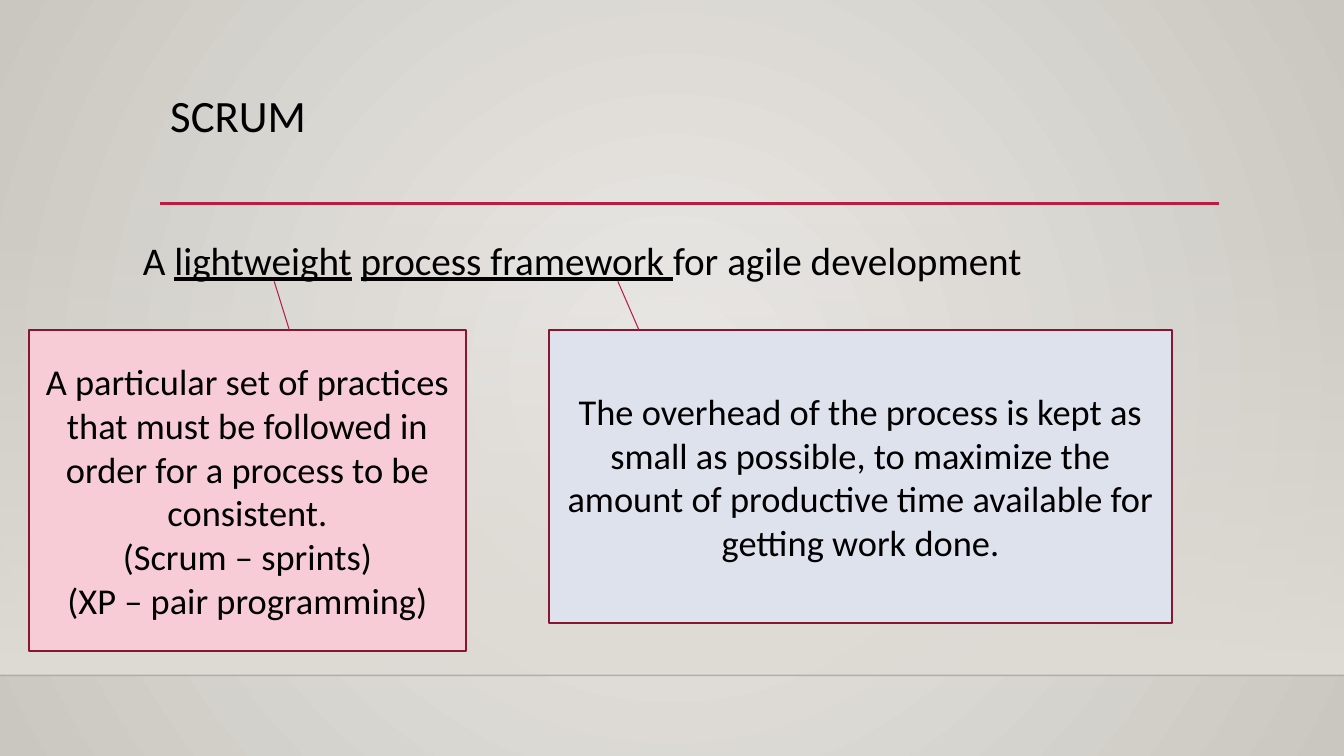
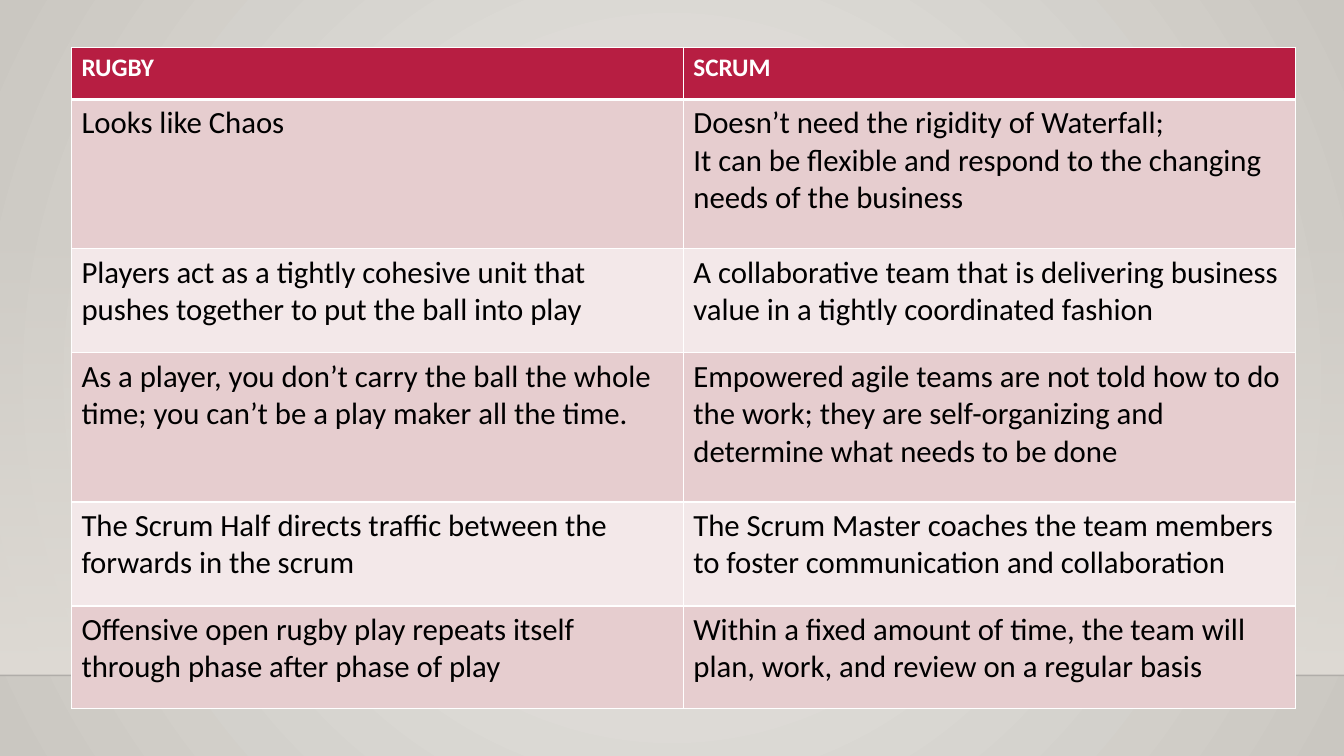
from dataclasses import dataclass

from lxml import etree
from pptx import Presentation, util as u
from pptx.dml.color import RGBColor
from pptx.enum import shapes, text
from pptx.oxml.ns import qn


@dataclass(frozen=True)
class Theme:
    """Colours, font and type sizes shared by the slides."""
    font: str = "Calibri"
    title: int = 32
    lead: int = 28
    note: int = 26
    cell: int = 22
    header: int = 18
    ink: str = "000000"
    white: str = "FFFFFF"
    accent: str = "B71E42"
    outline: str = "871631"
    pink: str = "F7CCD6"
    blue: str = "DEE2ED"
    bands: tuple = ("E6CDCF", "F3E8E9")
    backdrop: tuple = ("ECEAE7", "CAC7C1")
    panel: str = "DFDBD5"
    edge: str = "000001"


T = Theme()
RUGBY_TABLE = [
    (1.32, ["RUGBY"], ["SCRUM"]),
    (3.76, ["Looks like Chaos"],
     ["Doesn’t need the rigidity of Waterfall;",
      "It can be flexible and respond to the changing needs of the business"]),
    (2.62, ["Players act as a tightly cohesive unit that pushes together to put the ball into play"],
     ["A collaborative team that is delivering business value in a tightly coordinated fashion"]),
    (3.76, ["As a player, you don’t carry the ball the whole time; you can’t be a play maker all the time."],
     ["Empowered agile teams are not told how to do the work; they are self-organizing "
      "and determine what needs to be done"]),
    (2.62, ["The Scrum Half directs traffic between the forwards in the scrum"],
     ["The Scrum Master coaches the team members to foster communication and collaboration"]),
    (2.59, ["Offensive open rugby play repeats itself through phase after phase of play"],
     ["Within a fixed amount of time, the team will plan, work, and review on a regular basis"]),
]


def rgb(value):
    """Return a colour object for a hex string."""
    return RGBColor.from_string(value)


def cm(*values):
    """Convert numbers to centimetre lengths."""
    return [u.Cm(v) for v in values]


def set_alpha(color, percent):
    """Set the opacity of an srgbClr element."""
    etree.SubElement(color, qn("a:alpha"), val=str(percent * 1000))


def set_gradient(fill, colors):
    """Make a fill a two-stop gradient."""
    fill.gradient()
    for stop, color in zip(fill.gradient_stops, colors):
        stop.color.rgb = rgb(color)


def write(tf, paragraphs, size, color=T.ink, bold=False, align=None, spacing=None, before=None):
    """Fill a text frame with paragraphs given as lists of (text, underline) runs."""
    tf.word_wrap = True
    for i, runs in enumerate(paragraphs):
        p = tf.paragraphs[0] if i == 0 else tf.add_paragraph()
        p.alignment, p.line_spacing, p.space_before = align, spacing, before
        for content, underline in runs:
            r = p.add_run()
            r.text = content
            r.font.name, r.font.size, r.font.bold = T.font, u.Pt(size), bold
            r.font.underline = underline
            r.font.color.rgb = rgb(color)


def plain(*lines):
    """Turn lines into paragraphs of one plain run each."""
    return [[(line, False)] for line in lines]


def add_text(s, at, paragraphs, size, **style):
    """Add a wrapping text box."""
    write(s.shapes.add_textbox(*cm(*at)).text_frame, paragraphs, size, **style)


def add_rect(s, at):
    """Add a rectangle without shadow or outline."""
    sp = s.shapes.add_shape(shapes.MSO_SHAPE.RECTANGLE, *cm(*at))
    sp.shadow.inherit = False
    sp.line.fill.background()
    return sp


def add_line(s, start, end, color, width):
    """Add a straight connector without shadow."""
    line = s.shapes.add_connector(shapes.MSO_CONNECTOR.STRAIGHT, *cm(*start, *end))
    line.line.color.rgb = rgb(color)
    line.line.width = u.Pt(width)
    etree.SubElement(line.element.spPr, qn("a:effectLst"))
    return line


def add_note(s, at, fill, lines):
    """Add an outlined box with centred text."""
    sp = add_rect(s, at)
    sp.fill.solid()
    sp.fill.fore_color.rgb = rgb(fill)
    sp.line.color.rgb = rgb(T.outline)
    sp.line.width = u.Pt(1.25)
    sp.text_frame.vertical_anchor = text.MSO_ANCHOR.MIDDLE
    write(sp.text_frame, plain(*lines), T.note, align=text.PP_ALIGN.CENTER)


def set_borders(cell, top, bottom):
    """Give a cell white borders, with top and bottom widths in points."""
    tc_pr = cell._tc.get_or_add_tcPr()
    for side, width in (("L", 1), ("R", 1), ("T", top), ("B", bottom)):
        ln = etree.SubElement(tc_pr, qn(f"a:ln{side}"), w=str(u.Pt(width)))
        fill = etree.SubElement(ln, qn("a:solidFill"))
        etree.SubElement(fill, qn("a:srgbClr"), val=T.white)


def add_comparison(s, left, top, col_width, rows):
    """Add a two-column table with a header and banded rows."""
    size = cm(left, top, 2 * col_width, sum(row[0] for row in rows))
    table = s.shapes.add_table(len(rows), 2, *size).table
    table.horz_banding = False
    for col in table.columns:
        col.width = u.Cm(col_width)
    for i, (height, *cells) in enumerate(rows):
        table.rows[i].height = u.Cm(height)
        header = i == 0
        for j, lines in enumerate(cells):
            cell = table.cell(i, j)
            set_borders(cell, 3 if i == 1 else 1, 3 if header else 1)
            cell.fill.solid()
            cell.fill.fore_color.rgb = rgb(T.accent if header else T.bands[(i - 1) % 2])
            write(cell.text_frame, plain(*lines), T.header if header else T.cell,
                  T.white if header else T.ink, bold=header)


def style_layout(layout, s):
    """Put the backdrop, panel and rules on the layout, drawing them through a slide."""
    for ph in list(layout.placeholders):
        ph.element.getparent().remove(ph.element)
    set_gradient(layout.background.fill, T.backdrop)
    grad = next(layout.element.iter(qn("a:gradFill")))
    grad.remove(grad.find(qn("a:lin")))
    circle = etree.SubElement(grad, qn("a:path"), path="circle")
    etree.SubElement(circle, qn("a:fillToRect"), l="50000", t="50000", r="50000", b="50000")

    panel = add_rect(s, (0, 5.61, 33.87, 11.41))
    set_gradient(panel.fill, (T.panel, T.panel))
    panel.fill.gradient_angle = 270
    set_alpha(next(panel.element.iter(qn("a:srgbClr"))), 0)
    edge = add_line(s, (0, 17.02), (33.87, 17.02), T.edge, 1)
    set_alpha(next(edge.element.iter(qn("a:srgbClr"))), 20)
    rule = add_line(s, (4.04, 5.13), (30.73, 5.13), T.accent, 2.5)
    for part in (panel, edge, rule):
        layout.shapes.element.append(part.element)


def build_scrum(s):
    """Build the definition slide."""
    add_text(s, (4.04, 2.24, 26.7, 2.92), plain("SCRUM"), T.title, spacing=0.9)
    lead = [("A ", False), ("lightweight", True), (" ", False),
            ("process framework ", True), ("for agile development", False)]
    add_text(s, (3.35, 5.59, 27.36, 2), [lead], T.lead, spacing=1.2, before=u.Pt(10))
    add_note(s, (0.74, 8.31, 11, 8.1), T.pink, [
        "A particular set of practices that must be followed in order for a process to be consistent.",
        "(Scrum – sprints)", "(XP – pair programming)"])
    add_note(s, (13.84, 8.31, 15.7, 7.39), T.blue, [
        "The overhead of the process is kept as small as possible, to maximize the amount "
        "of productive time available for getting work done."])
    for x1, x2 in ((6.91, 7.29), (15.57, 16.1)):
        add_line(s, (x1, 7.09), (x2, 8.31), T.accent, 0.75)


def main():
    """Build and save the presentation."""
    prs = Presentation()
    prs.slide_width, prs.slide_height = cm(33.87, 19.05)
    blank = prs.slide_layouts[6]
    scrum = prs.slides.add_slide(blank)
    style_layout(blank, scrum)
    build_scrum(scrum)
    add_comparison(prs.slides.add_slide(blank), 1.8, 1.19, 15.42, RUGBY_TABLE)
    prs.save("out.pptx")


if __name__ == "__main__":
    main()
